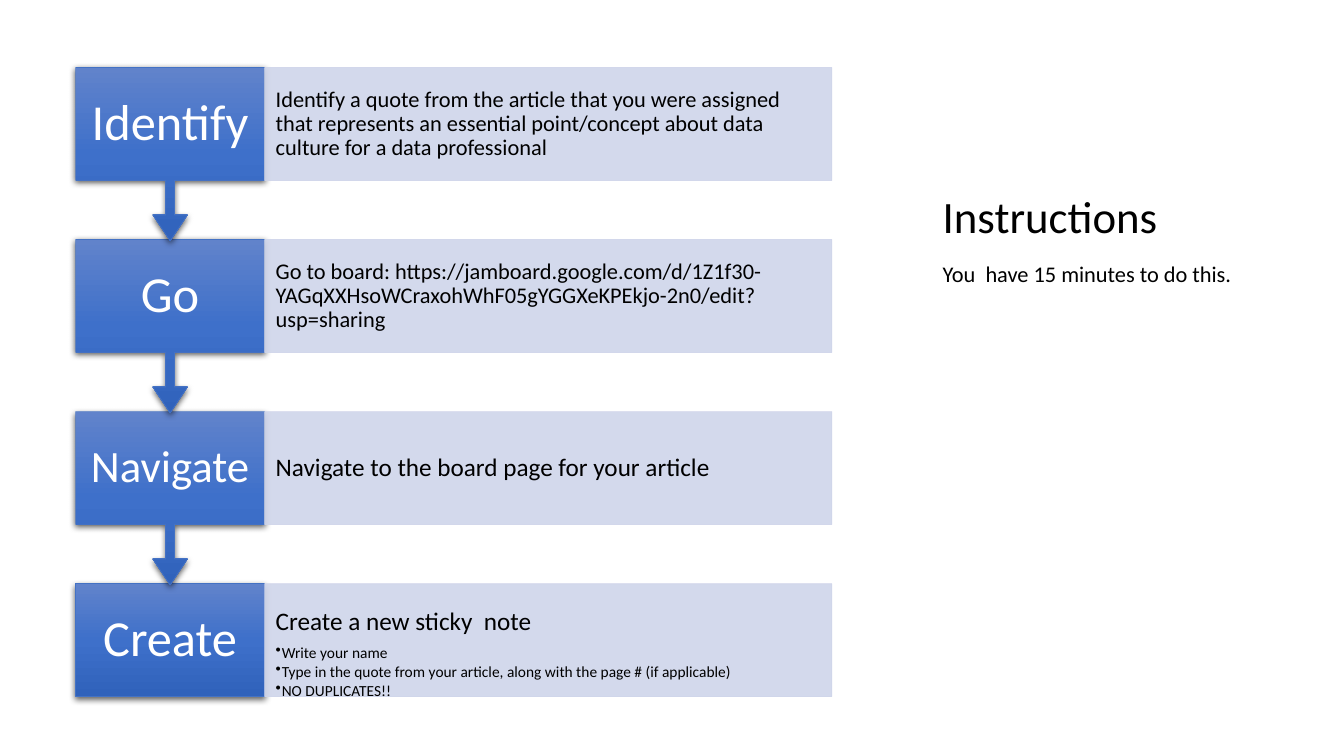
from copy import deepcopy
from dataclasses import dataclass

from lxml.etree import SubElement
from pptx import Presentation
from pptx.dml.color import RGBColor
from pptx.enum.shapes import MSO_SHAPE
from pptx.enum.text import MSO_ANCHOR, MSO_AUTO_SIZE, PP_ALIGN
from pptx.oxml.ns import qn
from pptx.util import Inches, Pt

FONT = "Calibri"
BLACK = RGBColor(0x00, 0x00, 0x00)
WHITE = RGBColor(0xFF, 0xFF, 0xFF)
OUTLINE_BLUE = RGBColor(0x44, 0x72, 0xC4)
PALE_BLUE = RGBColor(0xCF, 0xD5, 0xEA)
BLUE_GRADIENT = [
    (0, RGBColor(0x61, 0x83, 0xCB)),
    (0.5, RGBColor(0x3E, 0x70, 0xCA)),
    (1, RGBColor(0x30, 0x62, 0xBB)),
]
LABEL_SHARE = 0.25
BOX_HEIGHT = 1.12
CALLOUT_HEIGHT = 1.72


@dataclass
class Step:
    label: str
    label_size: int
    detail: str
    detail_size: int
    bullets: tuple = ()


STEPS = [
    Step("Identify", 36,
         "Identify a quote from the article that you were assigned that represents "
         "an essential point/concept about data culture for a data professional", 16),
    Step("Go", 36,
         "Go to board: https://jamboard.google.com/d/"
         "1Z1f30-YAGqXXHsoWCraxohWhF05gYGGXeKPEkjo-2n0/edit?usp=sharing", 16),
    Step("Navigate", 32, "Navigate to the board page for your article", 18),
    Step("Create", 36, "Create a new sticky  note", 18,
         ("Write your name",
          "Type in the quote from your article, along with the page # (if applicable)",
          "NO DUPLICATES!!")),
]


def write_paragraph(paragraph, text, size, color=BLACK, alignment=PP_ALIGN.LEFT, after=0):
    paragraph.alignment = alignment
    paragraph.line_spacing = 0.9
    paragraph.space_before = Pt(0)
    paragraph.space_after = Pt(after)
    run = paragraph.add_run()
    run.text = text
    run.font.name = FONT
    run.font.size = Pt(size)
    run.font.color.rgb = color


def set_bullet(paragraph, character=None):
    """Give the paragraph a hanging bullet, or none at all."""
    properties = paragraph._p.get_or_add_pPr()
    indent = Inches(0.06) if character else 0
    properties.set("marL", str(indent))
    properties.set("indent", str(-indent))
    if character:
        SubElement(properties, qn("a:buChar"), char=character)
    else:
        SubElement(properties, qn("a:buNone"))


def prepare_frame(shape, anchor, side=0.1, vertical=0.05):
    frame = shape.text_frame
    frame.word_wrap = True
    frame.auto_size = MSO_AUTO_SIZE.NONE
    frame.vertical_anchor = anchor
    frame.margin_left = frame.margin_right = Inches(side)
    frame.margin_top = frame.margin_bottom = Inches(vertical)
    return frame


def fill_with_gradient(shape):
    shape.fill.gradient()
    shape.fill.gradient_angle = 270
    stop_list = next(shape._element.spPr.iter(qn("a:gsLst")))
    stop_list.append(deepcopy(stop_list[0]))
    for stop, (position, color) in zip(shape.fill.gradient_stops, BLUE_GRADIENT):
        stop.position = position
        stop.color.rgb = color


def add_soft_shadow(shape):
    shape.shadow.inherit = False
    effects = shape._element.spPr.find(qn("a:effectLst"))
    shadow = SubElement(effects, qn("a:outerShdw"), blurRad=str(Pt(4.5)),
                        dist=str(Pt(1.5)), dir="5400000", algn="ctr", rotWithShape="0")
    color = SubElement(shadow, qn("a:srgbClr"), val=str(BLACK))
    SubElement(color, qn("a:alpha"), val="63000")


def add_label(slide, step, left, top, width, has_arrow):
    kind = MSO_SHAPE.DOWN_ARROW_CALLOUT if has_arrow else MSO_SHAPE.RECTANGLE
    height = CALLOUT_HEIGHT if has_arrow else BOX_HEIGHT
    label = slide.shapes.add_shape(
        kind, Inches(left), Inches(top), Inches(width), Inches(height))
    if has_arrow:
        for index, value in enumerate((0.05, 0.1, 0.15, 0.65)):
            label.adjustments[index] = value
    fill_with_gradient(label)
    label.line.color.rgb = OUTLINE_BLUE
    label.line.width = Pt(0.5)
    add_soft_shadow(label)
    frame = prepare_frame(label, MSO_ANCHOR.MIDDLE, 0.13, 0.25)
    write_paragraph(frame.paragraphs[0], step.label, step.label_size, WHITE, PP_ALIGN.CENTER)


def add_detail(slide, step, left, top, width):
    detail = slide.shapes.add_shape(
        MSO_SHAPE.RECTANGLE, Inches(left), Inches(top), Inches(width), Inches(BOX_HEIGHT))
    detail.shadow.inherit = False
    detail.fill.solid()
    detail.fill.fore_color.rgb = PALE_BLUE
    detail.line.color.rgb = PALE_BLUE
    detail.line.width = Pt(0.5)
    for color in detail._element.spPr.iter(qn("a:srgbClr")):
        SubElement(color, qn("a:alpha"), val="90000")

    if step.bullets:
        frame = prepare_frame(detail, MSO_ANCHOR.TOP, 0.11, 0.25)
    else:
        frame = prepare_frame(detail, MSO_ANCHOR.MIDDLE, 0.11, 0.2)
    after = 6.3 if step.bullets else 0
    write_paragraph(frame.paragraphs[0], step.detail, step.detail_size, after=after)
    for text in step.bullets:
        paragraph = frame.add_paragraph()
        paragraph.level = 1
        set_bullet(paragraph, "•")
        write_paragraph(paragraph, text, 11, after=1.65)


def add_process(slide, left, top, width, height):
    """Stack the steps from the bottom up, so each arrow tip lies over the next box."""
    pitch = (height - BOX_HEIGHT) / (len(STEPS) - 1)
    label_width = width * LABEL_SHARE
    for index, step in reversed(list(enumerate(STEPS))):
        step_top = top + index * pitch
        add_label(slide, step, left, step_top, label_width, index < len(STEPS) - 1)
        add_detail(slide, step, left + label_width, step_top, width - label_width)


def place(shape, left, top, width, height):
    shape.left, shape.top = Inches(left), Inches(top)
    shape.width, shape.height = Inches(width), Inches(height)


def add_instructions(slide, left, top, width, height):
    title, body = slide.shapes.title, slide.placeholders[1]
    title_height, gap = 1.8, 0.1
    place(title, left, top, width, title_height)
    body_offset = title_height + gap
    place(body, left, top + body_offset, width, height - body_offset)
    title_frame = prepare_frame(title, MSO_ANCHOR.BOTTOM)
    write_paragraph(title_frame.paragraphs[0], "Instructions", 32)
    paragraph = prepare_frame(body, MSO_ANCHOR.TOP).paragraphs[0]
    set_bullet(paragraph)
    write_paragraph(paragraph, "You  have 15 minutes to do this.", 16)


def main():
    presentation = Presentation()
    presentation.slide_width = Inches(13.33)
    presentation.slide_height = Inches(7.5)
    slide = presentation.slides.add_slide(presentation.slide_layouts[1])
    add_instructions(slide, 9.25, 0.66, 3.46, 5.84)
    add_process(slide, 0.75, 0.67, 7.5, 6.24)
    presentation.save("out.pptx")


if __name__ == "__main__":
    main()
